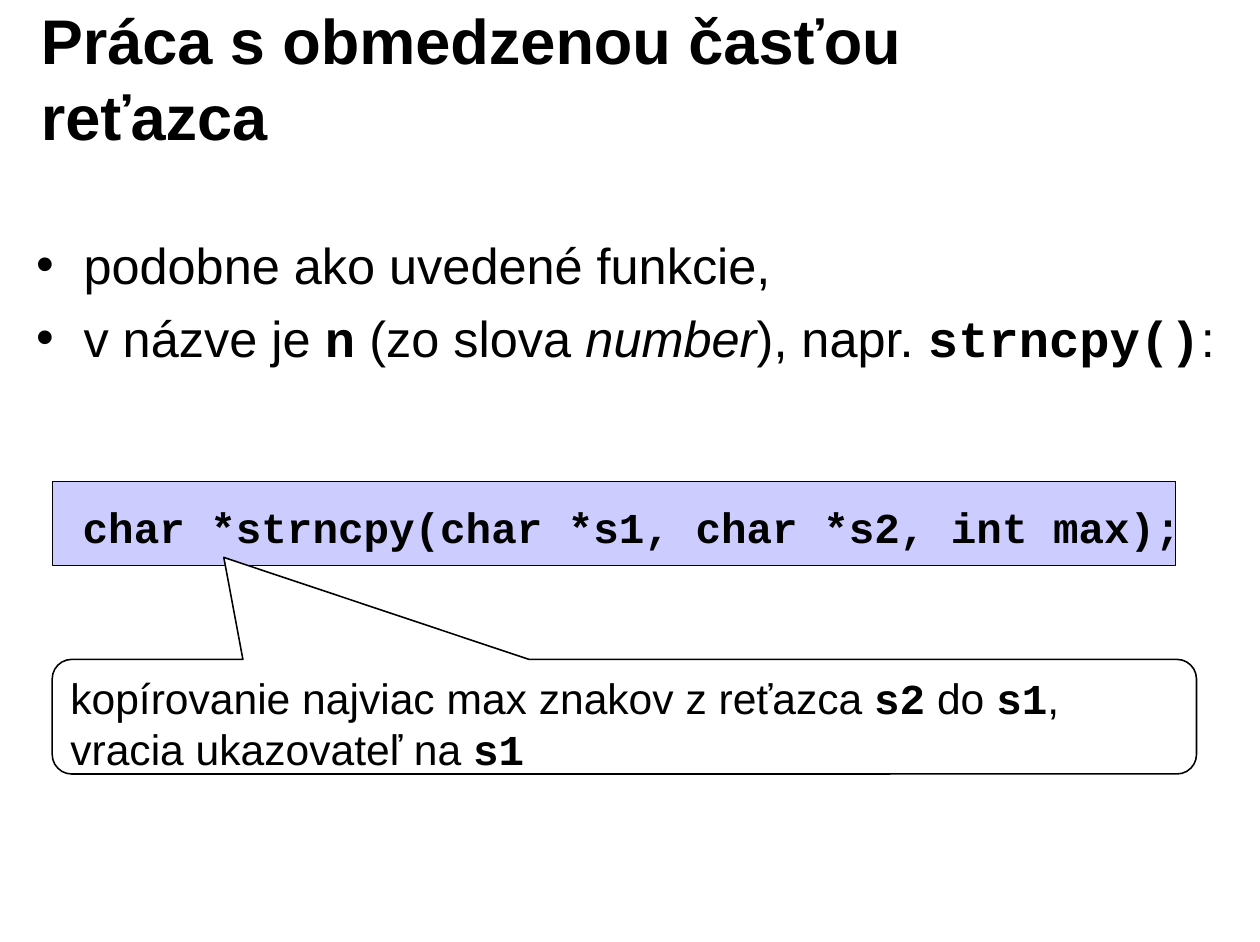
from dataclasses import dataclass

from lxml import etree
from pptx import Presentation
from pptx.dml.color import RGBColor
from pptx.enum import shapes, text
from pptx.oxml import ns
from pptx.util import Pt


@dataclass(frozen=True)
class Theme:
    ink: RGBColor = RGBColor(0, 0, 0)
    paper: RGBColor = RGBColor(0xFF, 0xFF, 0xFF)
    code_fill: RGBColor = RGBColor(0xCC, 0xCC, 0xFF)
    body_font: str = "Arial"
    code_font: str = "Courier New"
    title_size: int = 40
    bullet_size: int = 32
    detail_size: int = 27


THEME = Theme()


def plain(words):
    return words, {}


def bold(words):
    return words, {"bold": True}


def italic(words):
    return words, {"italic": True}


def code(words):
    return words, {"name": THEME.code_font, "bold": True}


def add_bullet(paragraph):
    """Give the paragraph a round bullet with a hanging indent."""
    properties = paragraph._p.get_or_add_pPr()
    indent = Pt(30)
    properties.set("marL", str(indent))
    properties.set("indent", str(-indent))
    etree.SubElement(properties, ns.qn("a:buFont"), typeface=THEME.body_font)
    etree.SubElement(properties, ns.qn("a:buChar"), char="•")


def write(frame, lines, size, anchor=text.MSO_ANCHOR.TOP, wrap=True, bullets=False, gap=0):
    """Fill a text frame; each line is a list of (words, font settings) runs."""
    frame.word_wrap = wrap
    frame.vertical_anchor = anchor
    frame.margin_left = frame.margin_right = Pt(7.9)
    frame.margin_top = frame.margin_bottom = Pt(4.3)
    for number, line in enumerate(lines):
        paragraph = frame.add_paragraph() if number else frame.paragraphs[0]
        paragraph.alignment = text.PP_ALIGN.LEFT
        if number and gap:
            paragraph.space_before = Pt(gap)
        if bullets:
            add_bullet(paragraph)
        for words, settings in line:
            run = paragraph.add_run()
            run.text = words
            run.font.size = Pt(size)
            run.font.name = THEME.body_font
            run.font.color.rgb = THEME.ink
            for name, value in settings.items():
                setattr(run.font, name, value)


def add_text(slide, box, lines, size, **options):
    textbox = slide.shapes.add_textbox(*map(Pt, box))
    write(textbox.text_frame, lines, size, **options)


def add_panel(slide, kind, box, fill, line_width):
    shape = slide.shapes.add_shape(kind, *map(Pt, box))
    shape.shadow.inherit = False
    shape.fill.solid()
    shape.fill.fore_color.rgb = fill
    shape.line.color.rgb = THEME.ink
    shape.line.width = Pt(line_width)
    return shape


def add_callout(slide, box, tip, lines):
    """Add a rounded callout; tip is its point as shares of the box from its centre."""
    kind = shapes.MSO_SHAPE.ROUNDED_RECTANGULAR_CALLOUT
    callout = add_panel(slide, kind, box, THEME.paper, 1)
    for index, value in enumerate((*tip, 0.17)):
        callout.adjustments[index] = value
    write(callout.text_frame, lines, THEME.detail_size)


def main():
    presentation = Presentation()
    presentation.slide_width, presentation.slide_height = Pt(799.2), Pt(597.6)
    slide = presentation.slides.add_slide(presentation.slide_layouts[6])

    add_text(slide, (18, 12.2, 641.5, 73.4), [[bold("Práca s obmedzenou časťou reťazca")]],
             THEME.title_size, anchor=text.MSO_ANCHOR.MIDDLE)
    add_text(slide, (15.1, 144, 767.5, 120.2), [
        [plain("podobne ako uvedené funkcie,")],
        [plain("v názve je "), code("n"), plain(" (zo slova "), italic("number"),
         plain("), napr. "), code("strncpy()"), plain(":")],
    ], THEME.bullet_size, bullets=True, gap=8)

    left, width = 33.1, 712.8
    add_panel(slide, shapes.MSO_SHAPE.RECTANGLE, (left, 305.3, width, 53.3),
              THEME.code_fill, 0.75)
    add_text(slide, (44.6, 313.2, width, 40.3),
             [[code("char *strncpy(char *s1, char *s2, int max);")]],
             THEME.detail_size, wrap=False)
    add_callout(slide, (left, 418.3, 725.8, 72.7), (-0.35, -1.39), [
        [plain("kopírovanie najviac max znakov z reťazca "), code("s2"),
         plain(" do "), code("s1"), plain(",")],
        [plain("vracia ukazovateľ na "), code("s1")],
    ])

    presentation.save("out.pptx")


if __name__ == "__main__":
    main()
